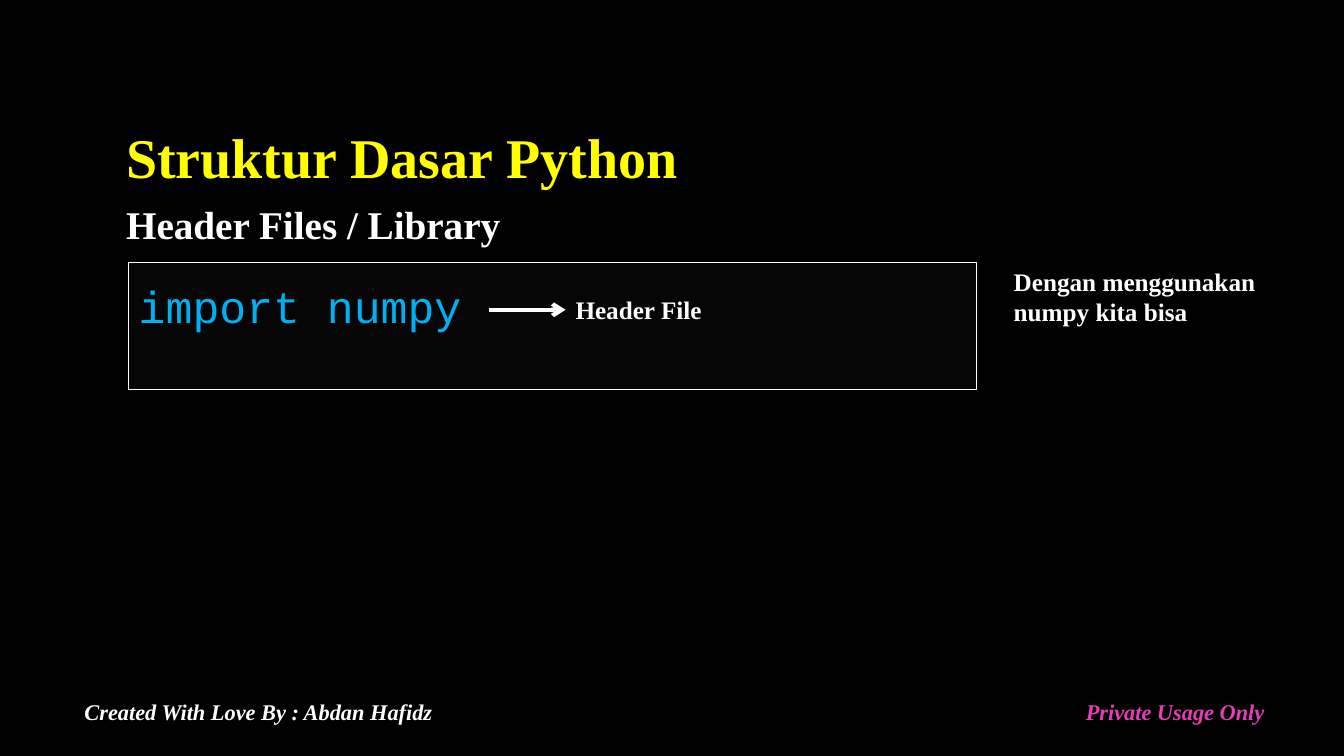
from lxml.etree import SubElement as Sub
from pptx import Presentation
from pptx.dml.color import RGBColor as RGB
from pptx.enum.shapes import MSO_CONNECTOR as LINE, MSO_SHAPE as SHAPE
from pptx.enum.text import MSO_ANCHOR as ANCHOR, PP_ALIGN as ALIGN
from pptx.oxml.ns import qn
from pptx.util import Pt

COLOR = {
    "back": "000000",
    "panel": "0D0D0D",
    "white": "FFFFFF",
    "title": "FFFF00",
    "code": "00B0F0",
    "pink": "E63EB6",
}
SERIF, MONO = "Times New Roman", "Courier New"


def tint(name):
    return RGB.from_string(COLOR[name])


def write(frame, text, size=18, color="white", font=SERIF, bold=True,
          italic=False, spacing=None, anchor=ANCHOR.TOP):
    """Put one formatted paragraph into a text frame."""
    frame.word_wrap = True
    frame.vertical_anchor = anchor
    para = frame.paragraphs[0]
    para.alignment = ALIGN.LEFT
    if spacing:
        para.line_spacing = spacing
    run = para.add_run()
    run.text = text
    face = run.font
    face.name, face.size = font, Pt(size)
    face.bold, face.italic = bold, italic
    face.color.rgb = tint(color)


def label(slide, box, text, **style):
    """Add a text box; box is left, top, width, height in points."""
    shape = slide.shapes.add_textbox(*map(Pt, box))
    write(shape.text_frame, text, **style)


def panel(slide, box, code):
    """Add the half-transparent code panel."""
    shape = slide.shapes.add_shape(SHAPE.RECTANGLE, *map(Pt, box))
    shape.shadow.inherit = False
    shape.fill.solid()
    shape.fill.fore_color.rgb = tint("panel")
    shade = shape.fill._xPr.find(qn("a:solidFill"))[0]
    Sub(shade, qn("a:alpha"), val="50000")
    shape.line.color.rgb = tint("white")
    shape.line.width = Pt(0.75)
    shape.text_frame.margin_top = Pt(12)
    write(shape.text_frame, code, size=32, color="code", font=MONO, bold=False)


def arrow(slide, left, right, y):
    """Add a horizontal arrow pointing right."""
    link = slide.shapes.add_connector(
        LINE.STRAIGHT, Pt(left), Pt(y), Pt(right), Pt(y))
    link.line.color.rgb = tint("white")
    link.line.width = Pt(3)
    Sub(link.line._get_or_add_ln(), qn("a:tailEnd"), type="arrow")
    Sub(link._element.spPr, qn("a:effectLst"))


def main():
    deck = Presentation()
    deck.slide_width, deck.slide_height = Pt(960), Pt(540)
    slide = deck.slides.add_slide(deck.slide_layouts[6])
    slide.background.fill.solid()
    slide.background.fill.fore_color.rgb = tint("back")

    # Headings
    label(slide, (83, 57.6, 720, 82), "Struktur Dasar Python", size=40,
          color="title", spacing=0.9, anchor=ANCHOR.BOTTOM)
    label(slide, (83, 139.7, 801, 41), "Header Files / Library", size=28)

    # Code with its callout and side note
    panel(slide, (92, 187.4, 605.5, 90.7), "import numpy")
    label(slide, (717, 186.5, 209.5, 73), "Dengan menggunakan numpy kita bisa")
    arrow(slide, 349, 404, 221.3)
    label(slide, (404, 206.6, 209.5, 29), "Header File")

    # Footer
    foot = {"size": 16, "italic": True, "spacing": 0.9}
    label(slide, (53.3, 497.5, 720, 36.7),
          "Created With Love By : Abdan Hafidz", **foot)
    label(slide, (768.5, 497.5, 191.5, 36.7),
          "Private Usage Only", color="pink", **foot)

    deck.save("out.pptx")


if __name__ == "__main__":
    main()
